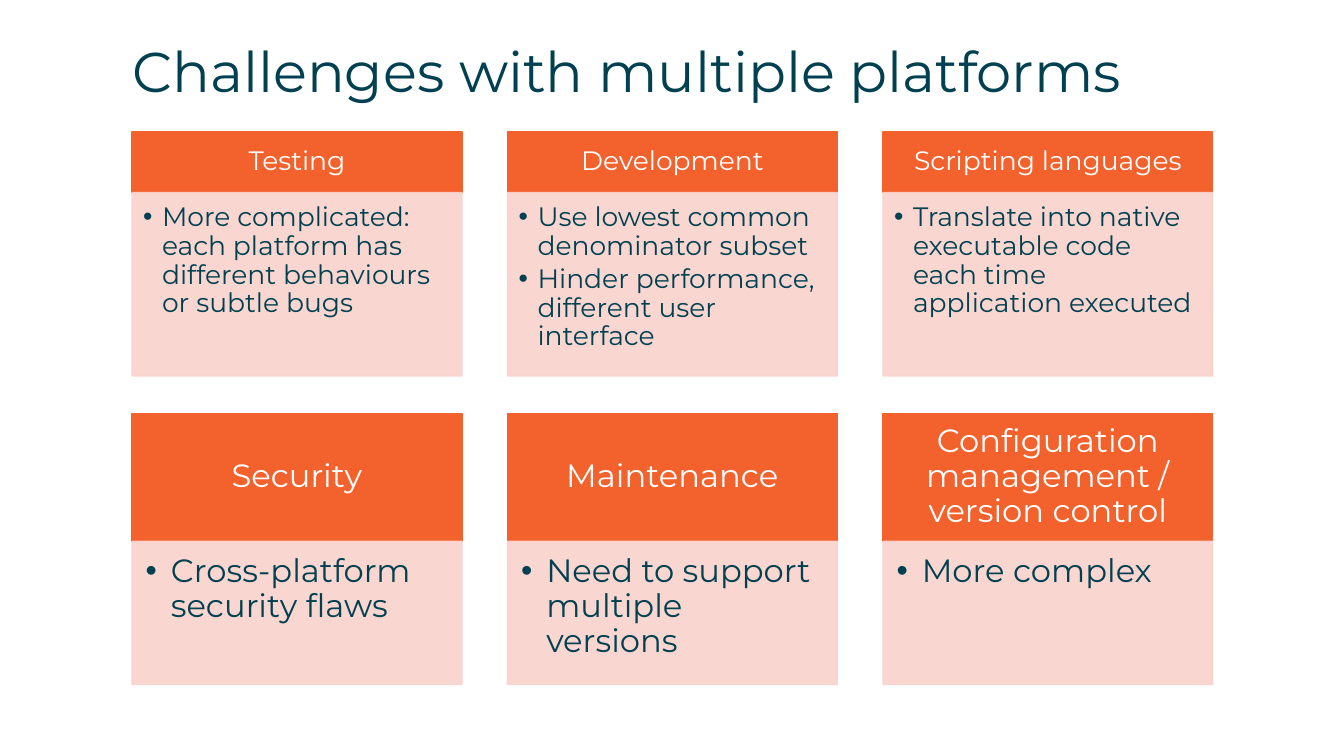
"""Build a slide of six cards on the challenges of multiple platforms."""
from lxml import etree
from pptx import Presentation
from pptx.dml.color import RGBColor
from pptx.enum.shapes import MSO_SHAPE
from pptx.enum.text import MSO_ANCHOR, MSO_AUTO_SIZE, PP_ALIGN
from pptx.oxml.ns import qn
from pptx.util import Pt

TITLE = "Challenges with multiple platforms"
ROWS = [
    {"top": 94.3, "head": 43.3, "body": 131, "size": 19, "indent": 13.5,
     "head_pad": (10.6, 6), "body_pad": (8, 8, 10.6, 12),
     "cards": [
         ("Testing", ["More complicated: each platform has different "
                      "behaviours or subtle bugs"]),
         ("Development", ["Use lowest common denominator subset",
                          "Hinder performance, different user interface"]),
         ("Scripting languages", ["Translate into native executable code "
                                  "each time application executed"]),
     ]},
    {"top": 295.2, "head": 91.4, "body": 102.3, "size": 23, "indent": 18,
     "head_pad": (13, 7.4), "body_pad": (9.7, 9.7, 13, 14.6),
     "cards": [
         ("Security", ["Cross-platform security flaws"]),
         ("Maintenance", ["Need to support multiple versions"]),
         ("Configuration management / version control", ["More complex"]),
     ]},
]
LEFT, STEP, WIDTH = 94.3, 268.2, 235.6
FONT = "Montserrat"
TEAL = RGBColor(0x00, 0x40, 0x50)
ORANGE = RGBColor(0xF3, 0x61, 0x2C)
PINK = RGBColor(0xFA, 0xD2, 0xCD)
WHITE = RGBColor(0xFF, 0xFF, 0xFF)
RECT = MSO_SHAPE.RECTANGLE
TOP, MIDDLE = MSO_ANCHOR.TOP, MSO_ANCHOR.MIDDLE
START, CENTER = PP_ALIGN.LEFT, PP_ALIGN.CENTER
NO_FIT = MSO_AUTO_SIZE.NONE


def style(font, size, color):
    font.name, font.size, font.color.rgb = FONT, Pt(size), color


def set_pads(frame, pads):
    (frame.margin_left, frame.margin_top,
     frame.margin_right, frame.margin_bottom) = map(Pt, pads)


def add_box(slide, at, color, lines, size, ink, pads, anchor, align):
    box = slide.shapes.add_shape(RECT, *map(Pt, at))
    box.shadow.inherit = False
    box.fill.solid()
    box.fill.fore_color.rgb = color
    box.line.color.rgb = color
    box.line.width = Pt(1)
    frame = box.text_frame
    frame.word_wrap = True
    frame.vertical_anchor = anchor
    set_pads(frame, pads)
    frame.text = "\n".join(lines)
    for para in frame.paragraphs:
        para.alignment = align
        para.line_spacing = 0.9
        para.space_after = Pt(round(size * 0.15, 1))
        for run in para.runs:
            style(run.font, size, ink)
    return box


def add_bullet(para, indent):
    para.level = 1
    props = para._p.get_or_add_pPr()
    props.set("marL", str(Pt(indent)))
    props.set("indent", str(-Pt(indent)))
    etree.SubElement(props, qn("a:buFont")).set("typeface", "Arial")
    etree.SubElement(props, qn("a:buChar")).set("char", "•")


def fade(box):
    for color in box._element.spPr.iter(qn("a:srgbClr")):
        etree.SubElement(color, qn("a:alpha")).set("val", "90000")


def add_card(slide, left, row, name, points):
    head_at = left, row["top"], WIDTH, row["head"]
    add_box(slide, head_at, ORANGE, [name], row["size"], WHITE,
            row["head_pad"] * 2, MIDDLE, CENTER)
    body_at = left, row["top"] + row["head"], WIDTH, row["body"]
    body = add_box(slide, body_at, PINK, points, row["size"], TEAL,
                   row["body_pad"], TOP, START)
    fade(body)
    for para in body.text_frame.paragraphs:
        add_bullet(para, row["indent"])


def add_title(slide):
    title = slide.shapes.title
    title.left, title.top, title.width, title.height = map(
        Pt, (LEFT, 23, 864, 54))
    frame = title.text_frame
    frame.text = TITLE
    frame.word_wrap = True
    frame.auto_size = NO_FIT
    frame.vertical_anchor = MIDDLE
    set_pads(frame, (0, 0, 0, 0))
    para = frame.paragraphs[0]
    para.alignment = START
    style(para.runs[0].font, 40, TEAL)


def main():
    deck = Presentation()
    deck.slide_width, deck.slide_height = Pt(960), Pt(540)
    slide = deck.slides.add_slide(deck.slide_layouts[5])
    add_title(slide)
    for row in ROWS:
        for col, (name, points) in enumerate(row["cards"]):
            add_card(slide, LEFT + col * STEP, row, name, points)
    deck.save("out.pptx")


if __name__ == "__main__":
    main()
